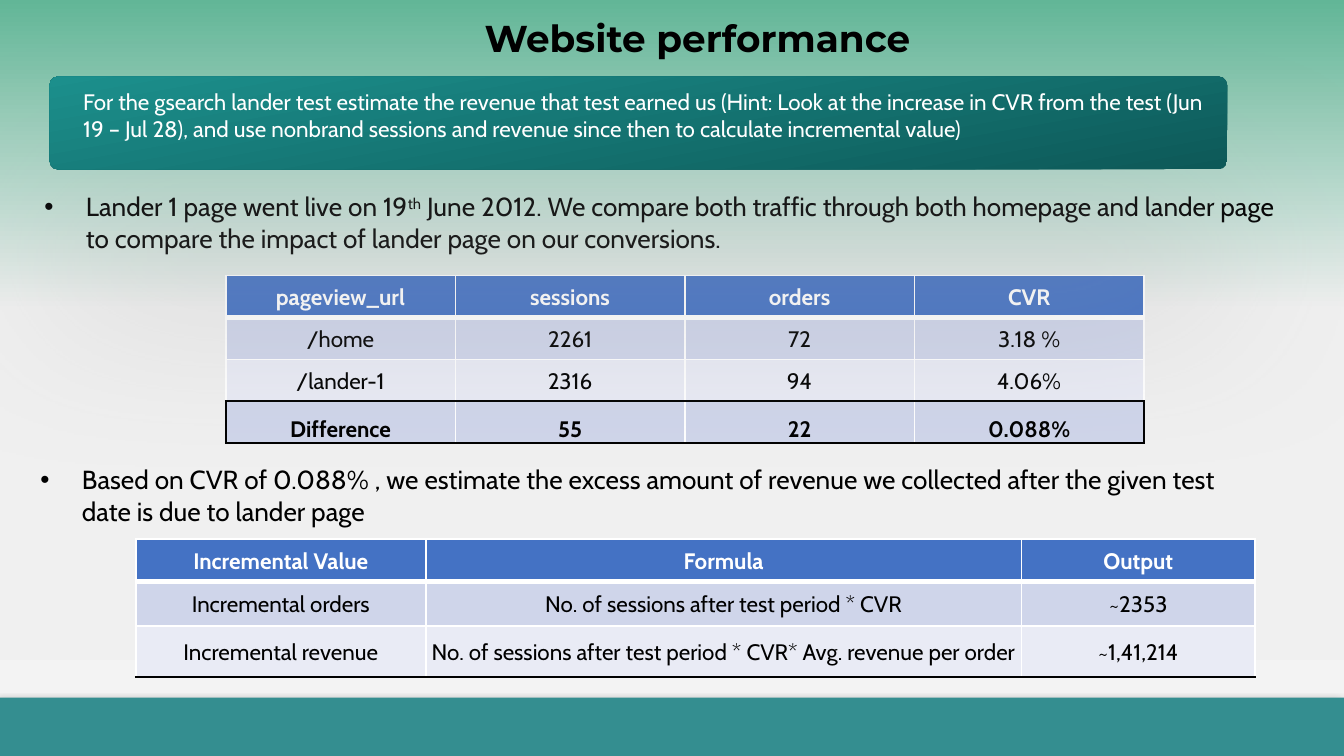
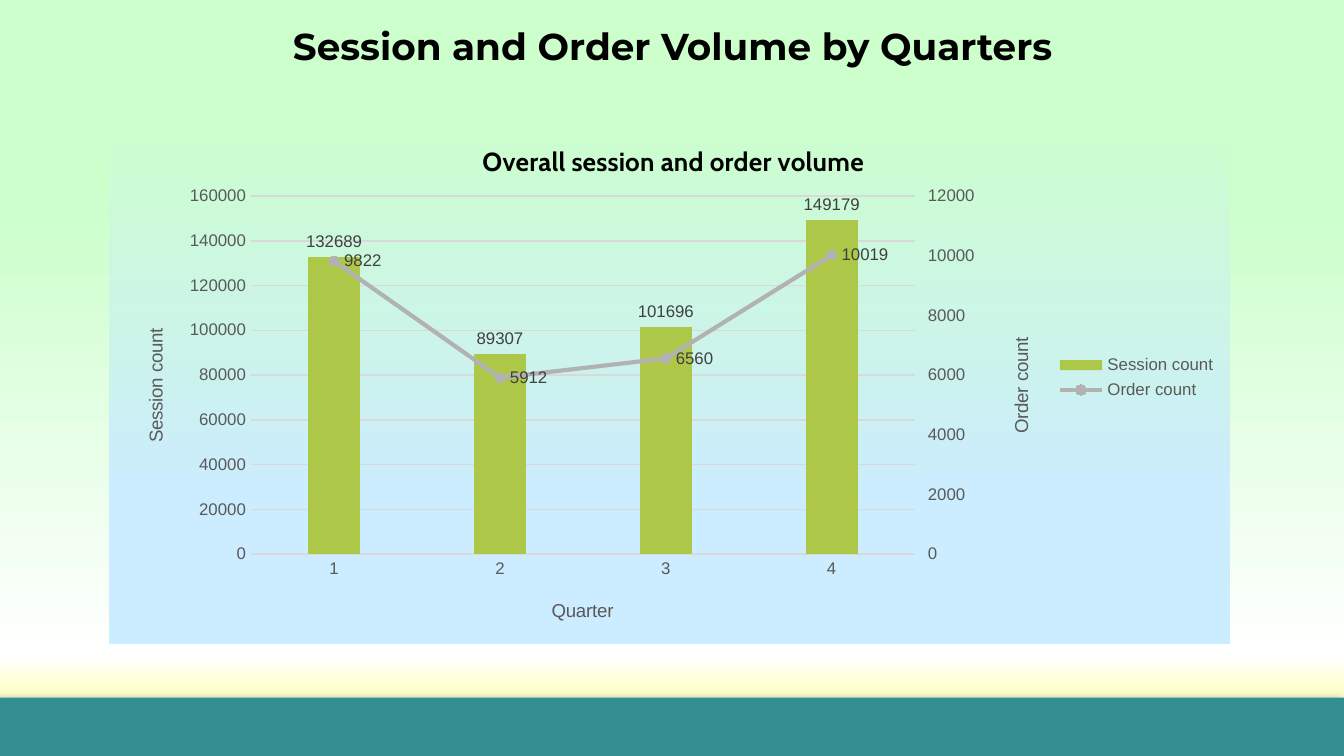
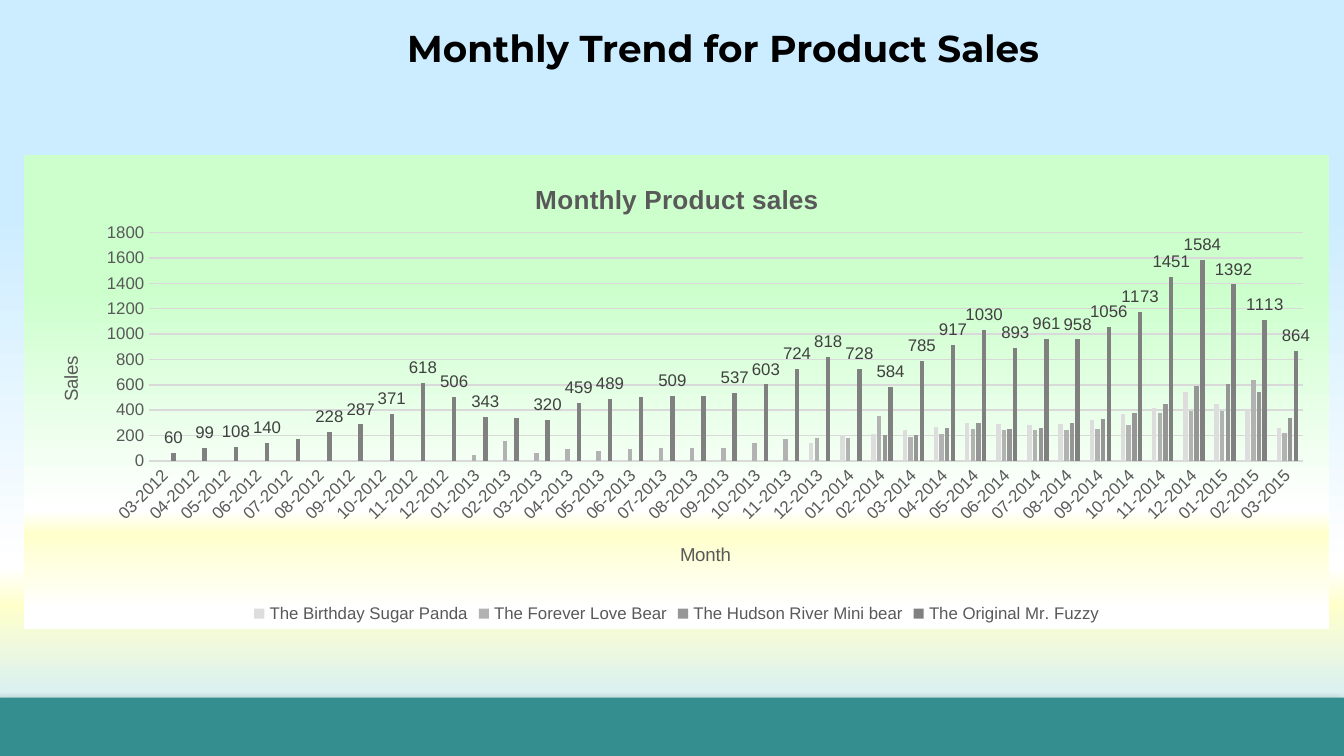
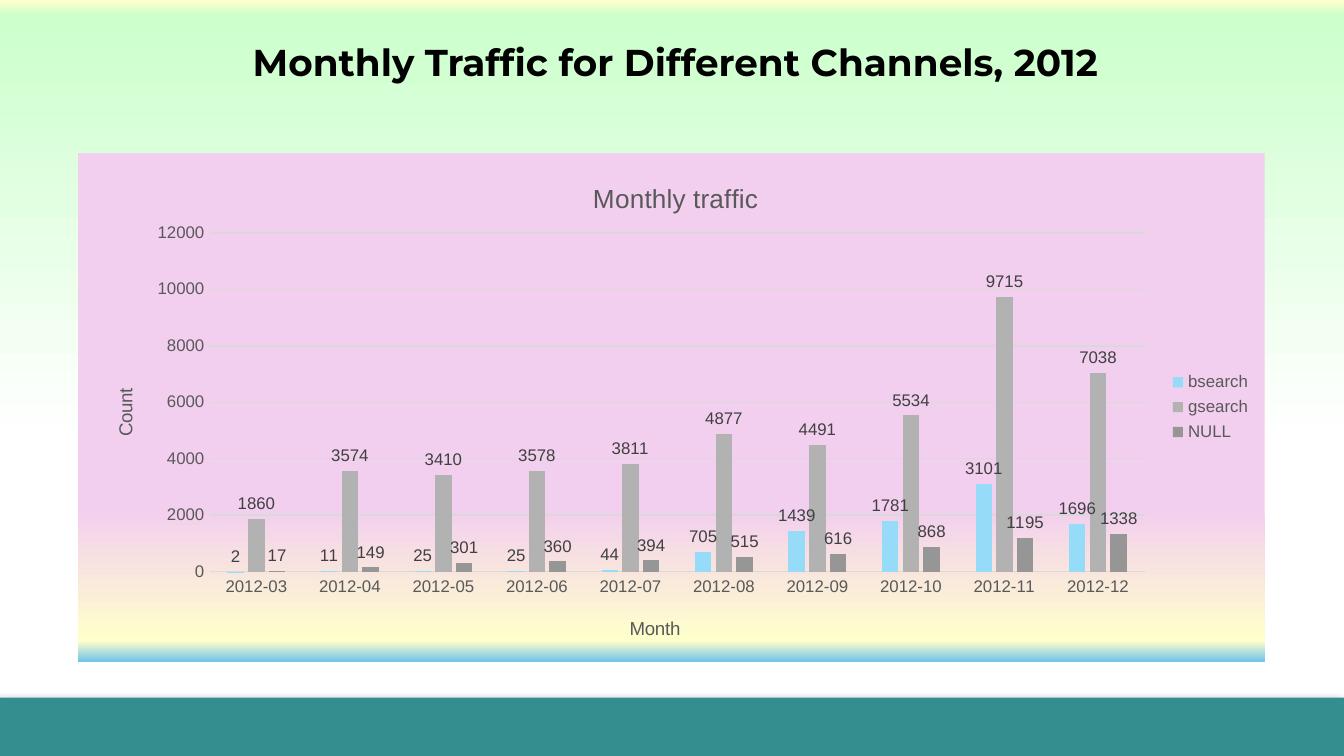
import pptx
import pptx.chart.axis
import pptx.chart.data
import pptx.dml.fill
import pptx.enum.chart
import pptx.enum.shapes
import pptx.enum.text
import pptx.oxml
import pptx.oxml.ns
import pptx.util
from lxml import etree
from pptx.dml.color import RGBColor

qn = pptx.oxml.ns.qn
Pt = pptx.util.Pt
CHART = pptx.enum.chart
TEXT = pptx.enum.text
SHAPE = pptx.enum.shapes.MSO_SHAPE
CELL = pptx.util.Inches(0.1)
COLS, ROWS = 100, 56.25

BLACK = RGBColor(0, 0, 0)
WHITE = RGBColor(255, 255, 255)
TEAL = RGBColor(0x34, 0x8E, 0x90)
DEEP = RGBColor(0x0D, 0x59, 0x58)
SEA = RGBColor(0x1C, 0x8F, 0x8C)
LEAF = RGBColor(0x62, 0xB6, 0x97)
MIST = RGBColor(0xF0, 0xF0, 0xF0)
PALE = RGBColor(0xF5, 0xF5, 0xF5)
MINT = RGBColor(0xCC, 0xFF, 0xCC)
CREAM = RGBColor(0xFF, 0xFF, 0xCC)
SKY = RGBColor(0xCC, 0xEC, 0xFF)
PINK = RGBColor(0xF2, 0xCF, 0xEE)
AZURE = RGBColor(0x74, 0xC4, 0xE9)
ICE = RGBColor(0xA2, 0xD8, 0xF0)
BLUE = RGBColor(0x44, 0x72, 0xC4)
ROWONE = RGBColor(0xCF, 0xD5, 0xEA)
ROWTWO = RGBColor(0xE9, 0xEB, 0xF5)
SMOKE = RGBColor(0xA6, 0xA6, 0xA6)
RULE = RGBColor(0xD9, 0xD9, 0xD9)
SLATE = RGBColor(0x59, 0x59, 0x59)
COAL = RGBColor(0x40, 0x40, 0x40)
LIME = RGBColor(0xAD, 0xC8, 0x48)
AQUA = RGBColor(0x96, 0xDC, 0xF8)
GREYS = [RGBColor(v, v, v) for v in (0xDD, 0xB2, 0x96, 0x80)]

HEAD = dict(name="Montserrat", size=Pt(20), bold=True, color=BLACK)
BODY = dict(name="Cabin", size=Pt(14), bold=False, color=BLACK)
NOTE = dict(name="Cabin", size=Pt(12), bold=False, color=WHITE)
TICK = dict(name="Arial", size=Pt(9), bold=False, color=SLATE)
AXIS = TICK | dict(size=Pt(10))
CAPTION = TICK | dict(size=Pt(14))
LABEL = TICK | dict(color=COAL)
FRAME = dict(word_wrap=True, auto_size=TEXT.MSO_AUTO_SIZE.SHAPE_TO_FIT_TEXT,
             vertical_anchor=TEXT.MSO_ANCHOR.TOP)
INSET = dict(margin_left=9144, margin_right=9144, margin_top=9144, margin_bottom=0)


def area(box):
    """Turn a box in grid cells into slide lengths."""
    return [int(v * CELL) for v in box]


def style(part, vals):
    """Set each attribute that the dict names."""
    for key, val in vals.items():
        if key == "color":
            part.color.rgb = val
        else:
            setattr(part, key, val)


def move(shape, box):
    """Place a shape on the grid."""
    style(shape, dict(zip(("left", "top", "width", "height"), area(box))))


def blend(fill, root, stops, angle=90):
    """Give a fill a gradient of (percent, colour) stops."""
    fill.gradient()
    fill.gradient_angle = 360 - angle
    stack = next(root.iter(qn("a:gsLst")))
    for old in list(stack):
        stack.remove(old)
    for pos, color in stops:
        stop = etree.SubElement(stack, qn("a:gs"), pos=str(pos * 1000))
        etree.SubElement(stop, qn("a:srgbClr"), val=str(color))


def shade(shape, color, alpha, blur, dist, angle):
    """Give a shape an outer shadow."""
    shape.shadow.inherit = False
    cast = etree.SubElement(
        next(shape.element.iter(qn("a:effectLst"))), qn("a:outerShdw"),
        blurRad=str(Pt(blur)), dist=str(Pt(dist)), dir=str(angle * 60000),
        algn="t", rotWithShape="0")
    tone = etree.SubElement(cast, qn("a:srgbClr"), val=str(color))
    etree.SubElement(tone, qn("a:alpha"), val=str(alpha * 1000))


def band(deck, slide):
    """Build the foot band and keep it on the master."""
    bar = slide.shapes.add_shape(SHAPE.RECTANGLE, *area((0, 51.9, COLS, ROWS - 51.9)))
    bar.fill.solid()
    bar.fill.fore_color.rgb = TEAL
    bar.line.fill.background()
    shade(bar, BLACK, 40, 4, 3, 135)
    deck.slide_master.element.cSld.spTree.insert(2, bar.element)


def page(deck, layout, stops, title, box, align=TEXT.PP_ALIGN.LEFT):
    """Add a slide with its backdrop and title."""
    slide = deck.slides.add_slide(deck.slide_layouts[layout])
    blend(slide.background.fill, slide.element, stops)
    move(slide.shapes.title, box)
    write(slide.shapes.title.text_frame, [(title, 0)], HEAD, align)
    return slide


def write(frame, runs, look, align=TEXT.PP_ALIGN.LEFT):
    """Write one paragraph of (text, raise) runs."""
    style(frame, FRAME)
    para = frame.paragraphs[0]
    style(para, dict(alignment=align, space_before=Pt(0)))
    for text, lift in runs:
        run = para.add_run()
        run.text = text
        style(run.font, look)
        if lift:
            run.font._element.set("baseline", str(lift * 1000))
    return para


def bullet(shape, box, runs):
    """Fill a body placeholder with one bullet."""
    move(shape, box)
    props = write(shape.text_frame, runs, BODY)._p.get_or_add_pPr()
    gap = pptx.util.Inches(0.31)
    props.set("marL", str(gap))
    props.set("indent", str(-gap))


def brief(slide, box):
    """Draw the task panel and its text."""
    x, y, w, h = box
    panel = slide.shapes.add_shape(SHAPE.ROUNDED_RECTANGLE, *area(box))
    panel.adjustments[0] = 0.09
    panel.element.spPr.find(qn("a:xfrm")).set("flipV", "1")
    blend(panel.fill, panel.element, [(0, DEEP), (100, SEA)], 100)
    panel.line.fill.background()
    shade(panel, SMOKE, 40, 100, 70, 90)
    text = slide.shapes.add_textbox(*area((x + 1.5, y + 0.4, w - 1.4, 5)))
    write(text.text_frame, [(
        "For the gsearch lander test estimate the revenue that test earned us "
        "(Hint: Look at the increase in CVR from the test (Jun 19 – Jul 28), and use "
        "nonbrand sessions and revenue since then to calculate incremental value)", 0)], NOTE)


def edge(cell, sides):
    """Draw cell borders given as (colour, points) by side."""
    props = cell._tc.get_or_add_tcPr()
    for side in "LRTB":
        color, size = sides[side]
        line = etree.SubElement(props, qn("a:ln" + side), w=str(Pt(size)))
        ink = etree.SubElement(line, qn("a:solidFill"))
        etree.SubElement(ink, qn("a:srgbClr"), val=str(color))


def table(slide, box, cols, rows, data, total=False):
    """Build a striped table, with a framed last row for a total."""
    grid = slide.shapes.add_table(len(rows), len(cols), *area(box)).table
    for col, wide in zip(grid.columns, cols):
        col.width = int(wide * CELL)
    for row, high in zip(grid.rows, rows):
        row.height = int(high * CELL)
    last, end = len(rows) - 1, len(cols) - 1
    for r, line in enumerate(data):
        for c, text in enumerate(line):
            cell = grid.cell(r, c)
            final = total and r == last
            sides = {side: (WHITE, 1) for side in "LRTB"}
            if r < 2:
                sides["T" if r else "B"] = (WHITE, 3)
            if r == last or total and r == last - 1:
                sides["B"] = (BLACK, 1)
            if final:
                sides["T"] = (BLACK, 1)
                sides["L"] = (WHITE if c else BLACK, 1)
                sides["R"] = (BLACK if c == end else WHITE, 1)
            edge(cell, sides)
            cell.fill.solid()
            cell.fill.fore_color.rgb = (ROWONE if r % 2 else ROWTWO) if r else BLUE
            anchor = TEXT.MSO_ANCHOR.BOTTOM if final else TEXT.MSO_ANCHOR.MIDDLE
            style(cell, INSET | dict(vertical_anchor=anchor))
            para = cell.text_frame.paragraphs[0]
            para.alignment = TEXT.PP_ALIGN.CENTER
            run = para.add_run()
            run.text = text
            style(run.font, NOTE | dict(bold=not r or final, color=BLACK if r else WHITE))


def pin(root, index, spots):
    """Fix a chart part at percent shares of the chart."""
    for old in root.findall(qn("c:layout")):
        root.remove(old)
    layout = etree.Element(qn("c:layout"))
    root.insert(index, layout)
    hold = etree.SubElement(layout, qn("c:manualLayout"))
    if len(spots) > 2:
        etree.SubElement(hold, qn("c:layoutTarget"), val="inner")
    for key in "xy":
        etree.SubElement(hold, qn(f"c:{key}Mode"), val="edge")
    for key, val in zip("xywh", spots):
        etree.SubElement(hold, qn("c:" + key), val=f"{val / 100:.3f}")


def name(title, text, look, spot, turn=False):
    """Write and place a chart or axis title."""
    frame = title.text_frame
    frame.text = text
    style(frame.paragraphs[0].runs[0].font, look)
    if turn:
        body = next(title._element.iter(qn("a:bodyPr")))
        body.set("rot", "-5400000")
        body.set("vert", "horz")
    pin(title._element, 1, spot)


def scale(axis, text, spot, turn, tick=CHART.XL_TICK_MARK.NONE):
    """Format an axis and its title."""
    style(axis, dict(major_tick_mark=tick, minor_tick_mark=CHART.XL_TICK_MARK.NONE))
    style(axis.tick_labels.font, TICK)
    line = axis.format.line
    if turn:
        line.fill.background()
    else:
        style(line, dict(color=RULE, width=Pt(0.75)))
    name(axis.axis_title, text, AXIS, spot, turn)


def tag(series, place):
    """Show the values of a series."""
    labels = series.data_labels
    style(labels, dict(show_value=True, position=place))
    style(labels.font, LABEL)
    return labels


def chart(slide, box, cats, sets, spots, names, stops, side, look={}):
    """Build a column chart; sets holds (name, values, colour, labelled)."""
    data = pptx.chart.data.CategoryChartData()
    data.categories = cats
    for title, vals, _, _ in sets:
        data.add_series(title, vals)
    made = slide.shapes.add_chart(
        CHART.XL_CHART_TYPE.COLUMN_CLUSTERED, *area(box), data).chart
    style(made.font, dict(name="Arial", size=Pt(10), color=BLACK))
    root = made._chartSpace
    props = pptx.oxml.parse_xml(
        f'<c:spPr {pptx.oxml.ns.nsdecls("c", "a")}><a:ln><a:noFill/></a:ln></c:spPr>')
    root.find(qn("c:chart")).addnext(props)
    blend(pptx.dml.fill.FillFormat.from_fill_parent(props), props, stops)
    name(made.chart_title, names[0], CAPTION | look, spots["title"])
    scale(made.category_axis, names[1], spots["cat"], False)
    scale(made.value_axis, names[2], spots["val"], True)
    style(made.value_axis.major_gridlines.format.line, dict(color=RULE, width=Pt(0.75)))
    pin(next(root.iter(qn("c:plotArea"))), 0, spots["plot"])
    made.has_legend = True
    style(made.legend, dict(position=side, include_in_layout=False))
    style(made.legend.font, TICK)
    plot = made.plots[0]
    style(plot, dict(gap_width=219, overlap=-27, vary_by_categories=False))
    for series, (_, _, color, shown) in zip(plot.series, sets):
        series.format.fill.solid()
        series.format.fill.fore_color.rgb = color
        if shown:
            tag(series, CHART.XL_LABEL_POSITION.OUTSIDE_END)
    return made


def overlay(made, color, title, spot):
    """Turn the last series into a line on a right axis."""
    bars = next(made._chartSpace.iter(qn("c:barChart")))
    ser = bars.findall(qn("c:ser"))[-1]
    for key in ("c:invertIfNegative", "c:spPr"):
        for old in ser.findall(qn(key)):
            ser.remove(old)
    space = pptx.oxml.ns.nsdecls("c")
    line = pptx.oxml.parse_xml(
        f'<c:lineChart {space}><c:grouping val="standard"/><c:varyColors val="0"/>'
        '<c:marker val="1"/><c:axId val="501"/><c:axId val="502"/></c:lineChart>')
    line.insert(2, ser)
    bars.addnext(line)
    base = pptx.oxml.parse_xml(
        f'<c:catAx {space}><c:axId val="501"/><c:scaling/><c:delete val="1"/>'
        '<c:axPos val="b"/><c:crossAx val="502"/></c:catAx>')
    right = pptx.oxml.parse_xml(
        f'<c:valAx {space}><c:axId val="502"/><c:scaling/><c:delete val="0"/>'
        '<c:axPos val="r"/><c:numFmt formatCode="General" sourceLinked="0"/>'
        '<c:majorTickMark val="out"/><c:minorTickMark val="none"/>'
        '<c:tickLblPos val="nextTo"/><c:crossAx val="501"/><c:crosses val="max"/></c:valAx>')
    made.value_axis._element.addnext(right)
    right.addnext(base)
    scale(pptx.chart.axis.ValueAxis(right), title, spot, True, CHART.XL_TICK_MARK.OUTSIDE)
    series = made.plots[1].series[0]
    series.smooth = False
    style(series.format.line, dict(color=color, width=Pt(2.25)))
    style(series.marker, dict(style=CHART.XL_MARKER_STYLE.CIRCLE, size=5))
    series.marker.format.fill.solid()
    series.marker.format.fill.fore_color.rgb = color
    series.marker.format.line.color.rgb = color
    tag(series, CHART.XL_LABEL_POSITION.RIGHT)


def results(deck):
    """Build the lander test slide."""
    slide = page(deck, 3, [(0, LEAF), (41, MIST), (81, MIST), (100, PALE)],
                 "Website performance", (28.6, 0.6, 46.6, 4.4), TEXT.PP_ALIGN.CENTER)
    band(deck, slide)
    first, second = list(slide.placeholders)[1:]
    bullet(first, (2.3, 13.7, 95.3, 5.7), [
        ("Lander 1 page went live on 19", 0), ("th", 30),
        (" June 2012. We compare both traffic through both homepage and lander page "
         "to compare the impact of lander page on our conversions.", 0)])
    bullet(second, (2, 34, 93.1, 5.7), [
        ("Based on CVR of 0.088% , we estimate the excess amount of revenue we "
         "collected after the given test date is due to lander page", 0)])
    table(slide, (16.8, 20.5, 68.3, 12.5), [17.08] * 4, [3.12] * 4, [
        ("pageview_url", "sessions", "orders", "CVR"),
        ("/home", "2261", "72", "3.18 %"),
        ("/lander-1", "2316", "94", "4.06%"),
        ("Difference", "55", "22", "0.088%")], total=True)
    brief(slide, (3.7, 5.7, 87.6, 6.9))
    table(slide, (10.1, 40.1, 83.3, 10.4), [21.6, 44.3, 17.4], [3.2, 3.3, 3.8], [
        ("Incremental Value", "Formula", "Output"),
        ("Incremental orders", "No. of sessions after test period * CVR", "~2353"),
        ("Incremental revenue",
         "No. of sessions after test period * CVR* Avg. revenue per order", "~1,41,214")])


def quarters(deck):
    """Build the quarterly volume slide."""
    slide = page(deck, 5, [(27, MINT), (87, WHITE), (91, CREAM), (98, SKY), (100, WHITE)],
                 "Session and Order Volume by Quarters", (20.8, 1.2, 61.7, 4.4))
    made = chart(
        slide, (8.1, 8.3, 83.4, 39.6), ["1", "2", "3", "4"],
        [("Session count", [132689, 89307, 101696, 149179], LIME, True),
         ("Order count", [9822, 5912, 6560, 10019], GREYS[1], False)],
        dict(plot=(12.7, 15.9, 59.2, 67.3), title=(32.9, 5), cat=(39.2, 90.8),
             val=(2.8, 40.1)),
        ("Overall session and order volume", "Quarter", "Session count"),
        [(0, MINT), (74, SKY)], CHART.XL_LEGEND_POSITION.RIGHT,
        dict(name="Cabin", bold=True, color=BLACK))
    overlay(made, GREYS[1], "Order count", (80, 41.8))


def products(deck):
    """Build the monthly product sales slide."""
    slide = page(deck, 5, [(28, SKY), (75, WHITE), (80, CREAM), (96, SKY)],
                 "Monthly Trend for Product Sales", (29.3, 1.4, 58.5, 4.4))
    months = [f"{m % 12 + 1:02d}-{2012 + m // 12}" for m in range(2, 39)]
    late = {
        "The Birthday Sugar Panda": [
            140, 200, 210, 240, 270, 300, 290, 280, 290, 320, 370, 420, 540, 450, 400, 260],
        "The Forever Love Bear": [
            50, 160, 60, 90, 80, 90, 100, 100, 100, 140, 170, 180, 180, 350, 190, 210, 250,
            240, 240, 240, 250, 280, 380, 390, 390, 640, 220],
        "The Hudson River Mini bear": [
            200, 200, 260, 300, 250, 260, 300, 330, 380, 450, 590, 610, 540, 340],
        "The Original Mr. Fuzzy": [
            60, 99, 108, 140, 169, 228, 287, 371, 618, 506, 343, 336, 320, 459, 489, 503, 509,
            510, 537, 603, 724, 818, 728, 584, 785, 917, 1030, 893, 961, 958, 1056, 1173,
            1451, 1584, 1392, 1113, 864]}
    sets = [(title, [None] * (len(months) - len(vals)) + vals, grey, grey == GREYS[-1])
            for (title, vals), grey in zip(late.items(), GREYS)]
    made = chart(
        slide, (1.8, 11.5, 97.1, 35.3), months, sets,
        dict(plot=(9.6, 16.5, 88.4, 48.1), title=(38.8, 5), cat=(50, 81), val=(2.4, 41.8)),
        ("Monthly Product sales", "Month", "Sales"),
        [(28, MINT), (75, WHITE), (80, CREAM), (96, WHITE)],
        CHART.XL_LEGEND_POSITION.BOTTOM, dict(bold=True))
    ticks = made.category_axis._element.find(qn("c:txPr"))
    ticks.find(qn("a:bodyPr")).set("rot", "-2700000")
    labels = made.plots[0].series[3].data_labels._element
    for spot, point in enumerate((4, 11, 15, 17)):
        mute = etree.Element(qn("c:dLbl"))
        etree.SubElement(mute, qn("c:idx"), val=str(point))
        etree.SubElement(mute, qn("c:delete"), val="1")
        labels.insert(spot, mute)


def traffic(deck):
    """Build the monthly traffic slide."""
    slide = page(deck, 5, [(0, SKY), (0, CREAM), (2, MINT), (58, WHITE), (100, WHITE)],
                 "Monthly Traffic for Different Channels, 2012", (17.8, 2.4, 76.3, 4.4))
    chart(
        slide, (5.8, 11.4, 88.3, 37.8), [f"2012-{m:02d}" for m in range(3, 13)],
        [("bsearch", [2, 11, 25, 25, 44, 705, 1439, 1781, 3101, 1696], AQUA, True),
         ("gsearch", [1860, 3574, 3410, 3578, 3811, 4877, 4491, 5534, 9715, 7038],
          GREYS[1], True),
         ("NULL", [17, 149, 301, 360, 394, 515, 616, 868, 1195, 1338], GREYS[2], True)],
        dict(plot=(11.1, 15.7, 78.8, 66.7), title=(43, 4.7), cat=(46.2, 90.6),
             val=(2.7, 45.6)),
        ("Monthly traffic", "Month", "Count"),
        [(70, PINK), (96, CREAM), (100, AZURE), (100, ICE)],
        CHART.XL_LEGEND_POSITION.RIGHT)


def main():
    """Build and save the deck."""
    deck = pptx.Presentation()
    style(deck, dict(slide_width=int(COLS * CELL), slide_height=int(ROWS * CELL)))
    for build in (results, quarters, products, traffic):
        build(deck)
    deck.save("out.pptx")


if __name__ == "__main__":
    main()
